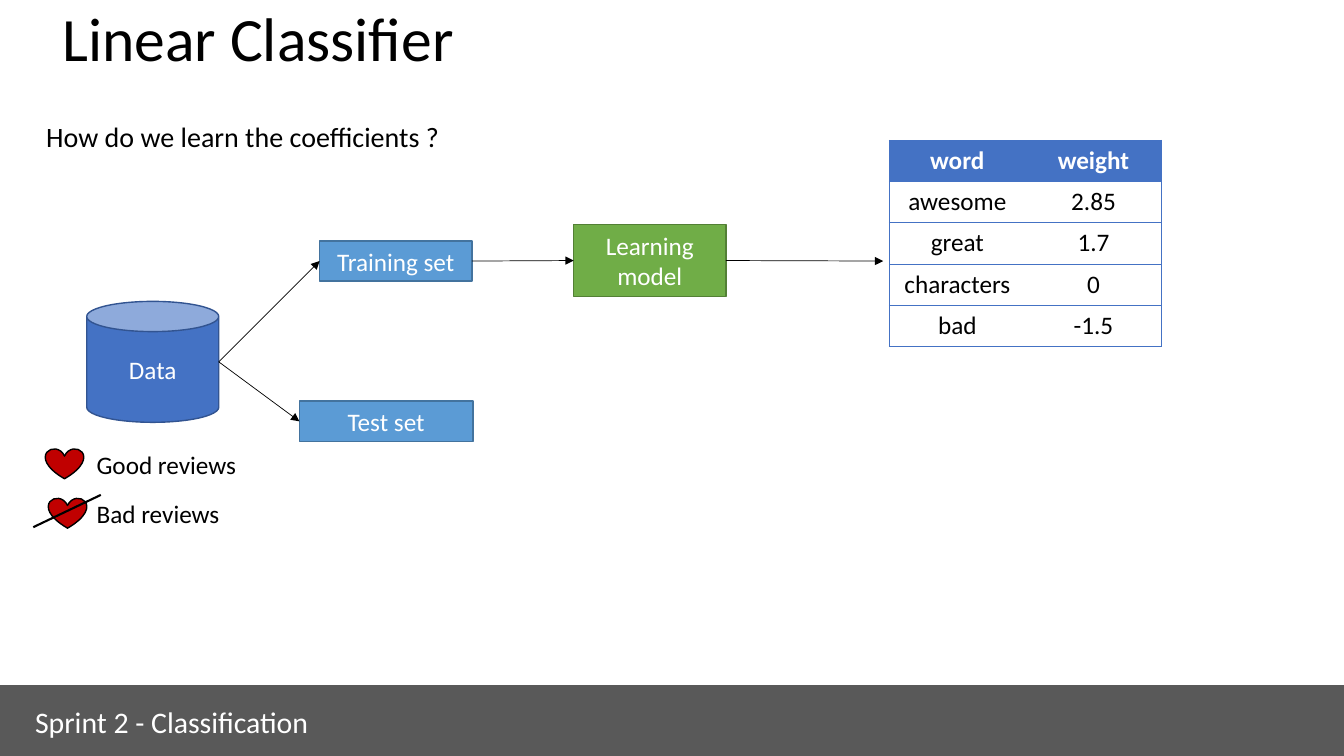
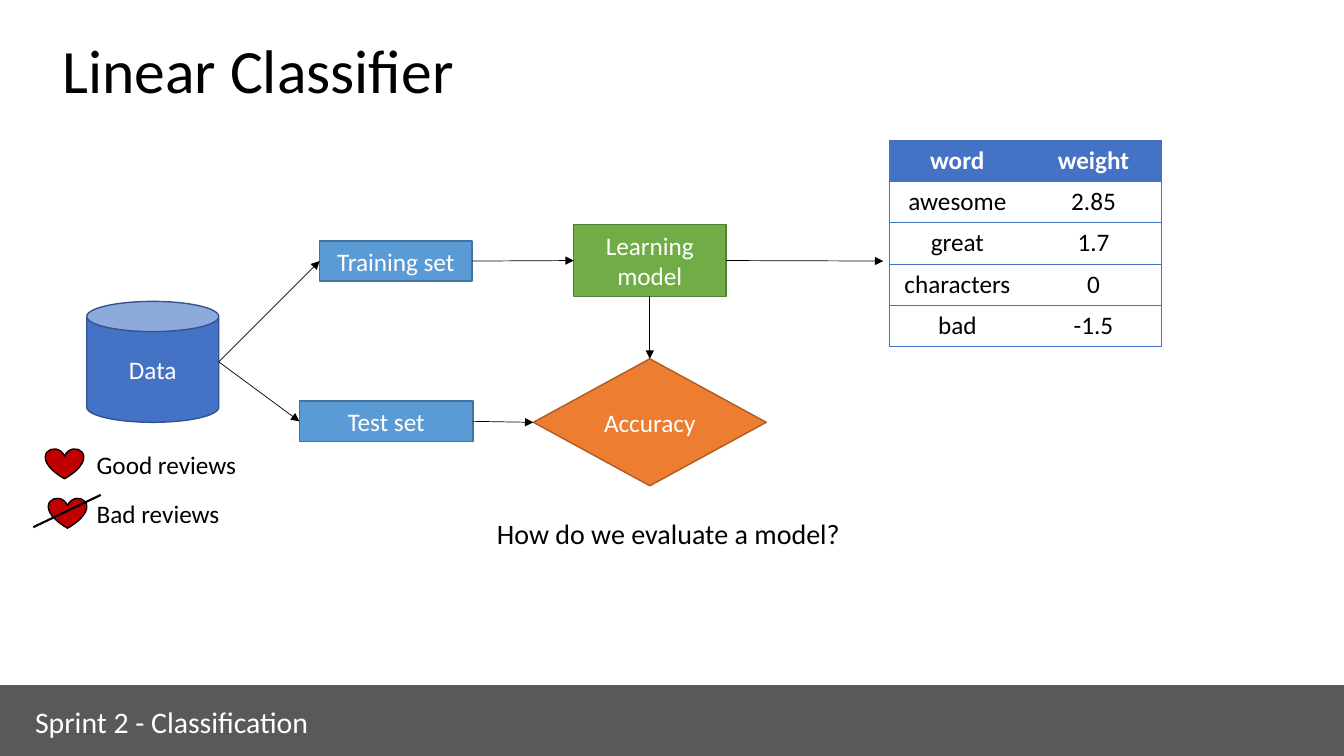
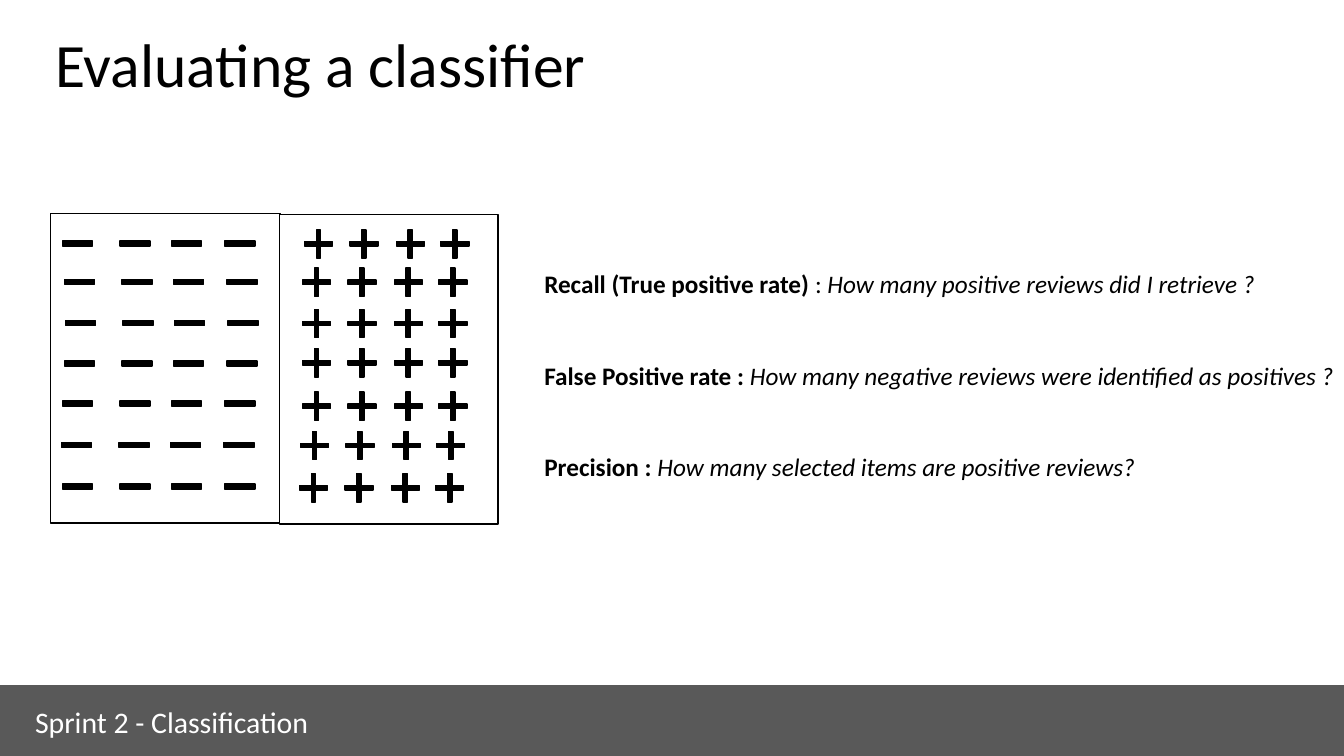
from dataclasses import dataclass

from lxml import etree
from pptx import Presentation
from pptx.dml.color import RGBColor
from pptx.enum.shapes import MSO_CONNECTOR, MSO_SHAPE
from pptx.enum.text import MSO_ANCHOR, PP_ALIGN
from pptx.oxml.ns import qn
from pptx.util import Inches, Pt

RECT = MSO_SHAPE.RECTANGLE
CAN = MSO_SHAPE.CAN
DIAMOND = MSO_SHAPE.DIAMOND
HEART = MSO_SHAPE.HEART
PLUS = MSO_SHAPE.CROSS
LINE = MSO_CONNECTOR.STRAIGHT
LEFT, CENTER = PP_ALIGN.LEFT, PP_ALIGN.CENTER
TOP, MIDDLE = MSO_ANCHOR.TOP, MSO_ANCHOR.MIDDLE
NORTH, WEST, SOUTH, EAST = range(4)


@dataclass(frozen=True)
class Theme:
    font: str = "Calibri"
    black: str = "000000"
    white: str = "FFFFFF"
    band: str = "595959"
    blue: str = "4472C4"
    navy: str = "325491"
    sky: str = "5B9BD5"
    steel: str = "43739E"
    green: str = "70AD47"
    moss: str = "538035"
    orange: str = "ED7D31"
    rust: str = "AF5C24"
    red: str = "C00000"
    title: float = 44
    foot: float = 21.3
    ask: float = 20
    body: float = 18


T = Theme()

WORDS = [("word", "weight"), ("awesome", "2.85"), ("great", "1.7"),
         ("characters", "0"), ("bad", "-1.5")]

RATES = [
    [("Recall (True positive rate) ", True, False), (": ", False, False),
     ("How many positive reviews did I retrieve ?", False, True)],
    [("False Positive rate : ", True, False),
     ("How many negative reviews were identified as positives ?", False, True)],
    [("Precision : ", True, False),
     ("How many selected items are positive reviews?", False, True)],
]

MINUS_COLS = [0, 0.57, 1.08, 1.61]
MINUS_ROWS = [(0.12, 0.27), (0.14, 0.65), (0.15, 1.06), (0.14, 1.46),
              (0.12, 1.86), (0.11, 2.27), (0.12, 2.68)]
PLUS_COLS = [0, 0.45, 0.91, 1.35]
PLUS_ROWS = [(2.52, 0.16), (2.5, 0.54), (2.5, 0.95), (2.5, 1.34),
             (2.5, 1.77), (2.48, 2.16), (2.47, 2.58)]


def rgb(code):
    return RGBColor.from_string(code)


def style(para, size, color, align=LEFT, bold=None):
    para.alignment = align
    font = para.font
    font.name, font.size, font.bold = T.font, Pt(size), bold
    font.color.rgb = rgb(color)


def place(x, y, w, h):
    return [Inches(v) for v in (x, y, w, h)]


def text(slide, box, lines, size, color=T.black, gap=0, lead=None):
    frame = slide.shapes.add_textbox(*place(*box)).text_frame
    frame.word_wrap = True
    frame.vertical_anchor = TOP
    for i, line in enumerate(lines):
        para = frame.paragraphs[0] if i == 0 else frame.add_paragraph()
        runs = [(line, None, None)] if isinstance(line, str) else line
        for words, bold, slant in runs:
            run = para.add_run()
            run.text = words
            run.font.bold, run.font.italic = bold, slant
        style(para, size, color)
        if i and gap:
            para.space_before = Pt(gap)
        if lead:
            para.line_spacing = lead


def shape(shapes, kind, box, fill, edge, label=""):
    item = shapes.add_shape(kind, *place(*box))
    item.shadow.inherit = False
    item.fill.solid()
    item.fill.fore_color.rgb = rgb(fill)
    item.line.color.rgb = rgb(edge)
    item.line.width = Pt(1)
    if label:
        frame = item.text_frame
        frame.word_wrap = True
        frame.vertical_anchor = MIDDLE
        frame.text = label
        style(frame.paragraphs[0], T.body, T.white, CENTER)
    return item


def link(slide, start, end, width=0.5, arrow=True):
    points = [(0, 0) if hasattr(p[0], "shape_id") else p for p in (start, end)]
    line = slide.shapes.add_connector(
        LINE, *[Inches(v) for point in points for v in point])
    for spot, join in ((start, line.begin_connect), (end, line.end_connect)):
        if hasattr(spot[0], "shape_id"):
            join(*spot)
    line.line.color.rgb = rgb(T.black)
    line.line.width = Pt(width)
    props = line._element.spPr
    if arrow:
        etree.SubElement(props.find(qn("a:ln")), qn("a:tailEnd"), type="triangle")
    etree.SubElement(props, qn("a:effectLst"))


def title(slide, x, y, words):
    text(slide, (x, y, 12, 1.25), [words], T.title, lead=0.9)


def footer(slide, x=-0.02, y=6.8):
    shape(slide.shapes, RECT, (x, y, 13.35, 0.7), T.band, T.band)
    text(slide, (x + 0.27, y + 0.13, 3.36, 0.46),
         ["Sprint 2 - Classification"], T.foot, T.white)


def flow(slide, x, y, score):
    def node(kind, dx, dy, w, h, fill, edge, label):
        return shape(slide.shapes, kind, (x + dx, y + dy, w, h), fill, edge, label)

    node(CAN, 0, 1.6, 1.31, 1.2, T.blue, T.navy, "Data")
    train = node(RECT, 2.31, 1, 1.51, 0.4, T.sky, T.steel, "Training set")
    test = node(RECT, 2.11, 2.59, 1.72, 0.4, T.sky, T.steel, "Test set")
    model = node(RECT, 4.83, 0.84, 1.51, 0.71, T.green, T.moss, "Learning model")
    data = (x + 1.31, y + 2.2)
    links = [(data, (train, WEST)), (data, (test, WEST)),
             ((train, EAST), (model, WEST)),
             ((model, EAST), (x + 7.9, y + 1.2))]
    if score:
        rate = node(DIAMOND, 4.43, 2.17, 2.31, 1.26, T.orange, T.rust, "Accuracy")
        links += [((model, SOUTH), (rate, NORTH)), ((test, EAST), (rate, WEST))]
    for start, end in links:
        link(slide, start, end)


def reviews(slide, x, y):
    text(slide, (x + 0.53, y, 2.51, 0.89), ["Good reviews", "Bad reviews"],
         T.body, gap=13.4)
    for dx, dy in ((0.12, 0.04), (0.15, 0.53)):
        shape(slide.shapes, HEART, (x + dx, y + dy, 0.38, 0.3), T.red, T.black)
    link(slide, (x, y + 0.82), (x + 0.67, y + 0.5), 1.5, False)


def border(cell, sides):
    props = cell._tc.get_or_add_tcPr()
    for i, side in enumerate(("L", "R", "T", "B")):
        line = etree.Element(qn("a:ln" + side), w=str(Pt(0.5)))
        if side in sides:
            fill = etree.SubElement(line, qn("a:solidFill"))
            etree.SubElement(fill, qn("a:srgbClr"), val=T.blue)
        else:
            etree.SubElement(line, qn("a:noFill"))
        props.insert(i, line)


def weights(slide, x, y):
    table = slide.shapes.add_table(len(WORDS), 2, *place(x, y, 2.7, 2.03)).table
    table.horz_banding = False
    for col in table.columns:
        col.width = Inches(1.35)
    for r, row in enumerate(WORDS):
        table.rows[r].height = Inches(0.41)
        head = r == 0
        for c, words in enumerate(row):
            cell = table.cell(r, c)
            cell.text = words
            style(cell.text_frame.paragraphs[0], T.body,
                  T.white if head else T.black, CENTER, head)
            if head:
                cell.fill.solid()
                cell.fill.fore_color.rgb = rgb(T.blue)
            else:
                cell.fill.background()
            border(cell, "TB" + "LR"[c])


def marks(shapes, kind, x, y, cols, rows, size):
    for dx, dy in rows:
        for col in cols:
            mark = shape(shapes, kind, (x + dx + col, y + dy, *size),
                         T.black, T.black)
            if kind == PLUS:
                mark.adjustments[0] = 0.423


def field(slide, x, y):
    shapes = slide.shapes.add_group_shape().shapes
    for dx, dy, w in ((0, 0, 2.28), (2.27, 0.01, 2.17)):
        shape(shapes, RECT, (x + dx, y + dy, w, 3.07), T.white, T.black)
    marks(shapes, PLUS, x, y, PLUS_COLS, PLUS_ROWS, (0.28, 0.28))
    marks(shapes, RECT, x, y, MINUS_COLS, MINUS_ROWS, (0.3, 0.05))


def linear(slide, top, ask, x, y, score):
    text(slide, (x, y, 8.4, 0.44), [ask], T.ask)
    flow(slide, 0.86, 1.39, score)
    title(slide, 0.52, top, "Linear Classifier")
    reviews(slide, 0.33, 4.41)
    weights(slide, 8.82, 1.39)
    footer(slide)


def rating(slide):
    text(slide, (5.3, 2.61, 8.76, 2.83), RATES, T.body, gap=44)
    field(slide, 0.5, 2.12)
    footer(slide)
    title(slide, 0.45, 0.29, "Evaluating a classifier")


def main():
    deck = Presentation()
    deck.slide_width, deck.slide_height = Inches(13.33), Inches(7.5)
    learn, score, rate = [deck.slides.add_slide(deck.slide_layouts[6])
                          for _ in range(3)]
    linear(learn, 0.03, "How do we learn the coefficients ?", 0.36, 1.14, False)
    linear(score, 0.35, "How do we evaluate a model?", 4.83, 5.08, True)
    rating(rate)
    deck.save("out.pptx")


if __name__ == "__main__":
    main()
